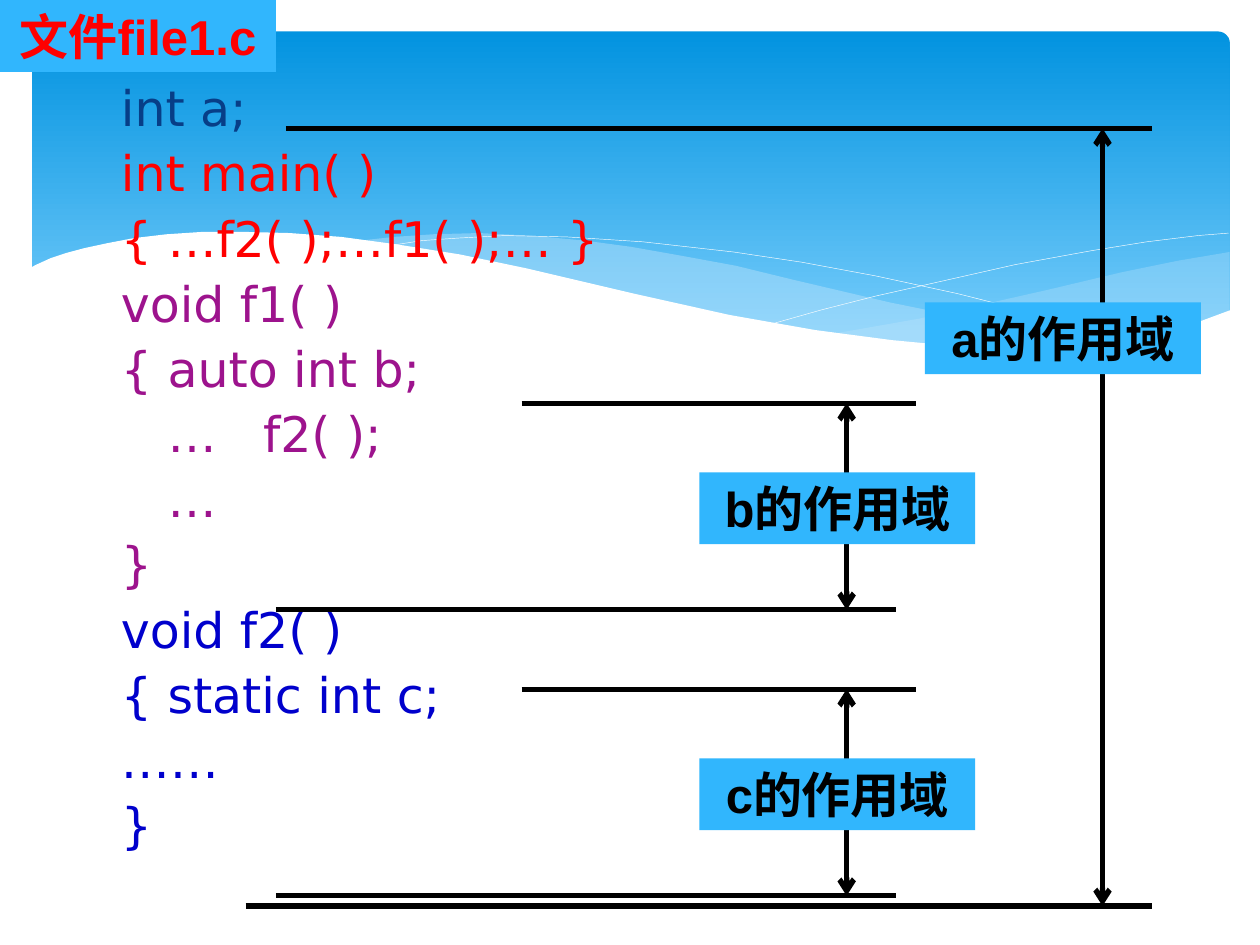
from lxml.etree import SubElement
from pptx import Presentation
from pptx.dml.color import RGBColor
from pptx.enum.shapes import MSO_CONNECTOR as Connector, MSO_SHAPE as Shape
from pptx.enum.text import MSO_ANCHOR as Anchor, MSO_AUTO_SIZE as AutoSize, PP_ALIGN as Align
from pptx.oxml.ns import qn
from pptx.util import Pt

LABEL_SIZE = (157.68, 41.04)
LABEL_FILL = "31B6FD"

RIGHT_WAVE = [
    (684.7, 126), (655.2, 131), (623.5, 137.5), (581, 147.6), (542.9, 156.2),
    (506.9, 164.2), (457.9, 172.8), (489.6, 177.1), (518.4, 180), (552.2, 181.4),
    (583.2, 181.4), (609.8, 179.3), (633.6, 175.7), (655.2, 170.6), (684.7, 159.8)]
MIDDLE_WAVE = [
    (625, 178.6), (584.6, 172.8), (540, 164.9), (490.3, 154.8), (434.9, 141.8),
    (402.5, 133.9), (371.5, 128.2), (342.7, 123.1), (316.1, 119.5), (284.4, 116.6),
    (255.6, 115.2), (229.7, 115.9), (207.4, 117.4), (187.9, 119.5), (228.2, 125.3),
    (272.9, 133.9), (305.3, 141.8), (363.6, 154.8), (414.7, 165.6), (460.8, 173.5),
    (501.8, 179.3), (538.6, 182.2), (578.2, 182.2), (606.2, 180.7)]
FALLING_CURVE = [
    (204.5, 122.4), (223.2, 119.5), (243.4, 118.1), (270.7, 116.6), (306, 117.4),
    (349.2, 120.2), (401, 126), (439.9, 131.8), (482.4, 139.7), (529.2, 149.8),
    (580.3, 162.7), (635, 177.8)]
RISING_CURVE = [
    (423.4, 167), (451.4, 159.1), (482.4, 151.2), (520.6, 142.6), (562.3, 133.2),
    (605.5, 125.3), (637.2, 120.2), (666.7, 116.6), (684, 115.2)]
WHITE_WAVE = [
    (685.4, 159.1), (666, 166.3), (644.4, 172.8), (620.6, 177.1), (594, 180),
    (564.5, 181.4), (529.9, 180), (491.8, 176.4), (447.8, 170.6), (398.9, 162),
    (344.2, 149.8), (283, 135.4), (244.8, 127.4), (208.8, 121.7), (177.1, 117.4),
    (147.6, 115.2), (121, 114.5), (97.9, 114.5), (77, 115.9), (58.3, 118.1),
    (43.2, 121), (30.2, 123.8), (19.4, 126.7), (10.8, 129.6), (2.9, 133.2),
    (-1.4, 135.4), (-1.4, 218.9), (685.4, 218.9)]

CODE = [
    ("073E87", ["int a;"]),
    ("FF0000", ["int main( )", "{ …f2( );…f1( );… }"]),
    ("9D138D", ["void f1( )", "{ auto int b;", "   …   f2( );", "   …", "}"]),
    ("0000CC", ["void f2( )", "{ static int c;", "……", "}"]),
]


def colour(value):
    return RGBColor.from_string(value)


def paint(shape, fill, opacity=100):
    shape.fill.solid()
    shape.fill.fore_color.rgb = colour(fill)
    if opacity < 100:
        tint = shape.fill._xPr.find(f"{qn('a:solidFill')}/{qn('a:srgbClr')}")
        SubElement(tint, qn("a:alpha")).set("val", str(opacity * 1000))


def place(shape, left, top, width, height):
    shape.left, shape.top = Pt(left), Pt(top)
    shape.width, shape.height = Pt(width), Pt(height)


def add_outline(page, left, top, points, close):
    corners = [(Pt(left + x), Pt(top + y)) for x, y in points]
    builder = page.shapes.build_freeform(*corners[0])
    builder.add_line_segments(corners[1:], close=close)
    shape = builder.convert_to_shape()
    shape.shadow.inherit = False
    return shape


def add_backdrop(page, left, top, width, height):
    panel = page.shapes.add_shape(
        Shape.ROUNDED_RECTANGLE, Pt(left), Pt(top), Pt(width), Pt(height))
    panel.adjustments[0] = 0.034
    panel.shadow.inherit = False
    panel.line.fill.background()
    panel.fill.gradient()
    panel.fill.gradient_angle = 270
    for stop, value in zip(panel.fill.gradient_stops, ("0293E0", "83D3FE")):
        stop.color.rgb = colour(value)

    def add_wave(points, fill, opacity=100):
        wave = add_outline(page, left, top, points, True)
        paint(wave, fill, opacity)
        wave.line.fill.background()

    add_wave(RIGHT_WAVE, "C6E7FC", 29)
    add_wave(MIDDLE_WAVE, "C6E7FC", 40)
    for points in (FALLING_CURVE, RISING_CURVE):
        curve = add_outline(page, left, top, points, False)
        curve.fill.background()
        curve.line.color.rgb = colour("FFFFFF")
        curve.line.width = Pt(0.25)
    add_wave(WHITE_WAVE, "FFFFFF")


def write_label(shape, text, ink):
    paint(shape, LABEL_FILL)
    frame = shape.text_frame
    frame.word_wrap = True
    frame.auto_size = AutoSize.NONE
    frame.vertical_anchor = Anchor.TOP
    para = frame.paragraphs[0]
    para.alignment = Align.CENTER
    span = para.add_run()
    span.text = text
    span.font.name, span.font.size, span.font.bold = "Arial", Pt(28), True
    span.font.color.rgb = colour(ink)


def add_file_title(page, left, top):
    title = page.shapes.title
    place(title, left, top, *LABEL_SIZE)
    write_label(title, "文件file1.c", "FF0000")
    page.shapes._spTree.append(title._element)


def add_code(page, left, top, width, height):
    body = page.placeholders[1]
    place(body, left, top, width, height)
    page.shapes._spTree.append(body._element)
    frame = body.text_frame
    frame.word_wrap = True
    frame.auto_size = AutoSize.NONE
    lines = [(ink, text) for ink, texts in CODE for text in texts]
    for index, (ink, text) in enumerate(lines):
        para = frame.add_paragraph() if index else frame.paragraphs[0]
        properties = para._p.get_or_add_pPr()
        properties.set("marL", "0")
        properties.set("indent", "0")
        SubElement(properties, qn("a:buNone"))
        para.line_spacing = 0.9
        para.space_before = Pt(7 if index else 0)
        span = para.add_run()
        span.text = text
        span.font.name, span.font.size = "DejaVu Sans", Pt(28)
        span.font.color.rgb = colour(ink)


def add_line(page, start, end, arrows=False):
    line = page.shapes.add_connector(
        Connector.STRAIGHT, Pt(start[0]), Pt(start[1]), Pt(end[0]), Pt(end[1]))
    line.line.color.rgb = colour("000000")
    line.line.width = Pt(3)
    if arrows:
        for tag in ("a:headEnd", "a:tailEnd"):
            SubElement(line.line._get_or_add_ln(), qn(tag)).set("type", "arrow")
    SubElement(line._element.spPr, qn("a:effectLst"))


def add_scope(page, left, top, width, height, name, top_bar, bottom_bar, arrow, label):
    bottom = top + height
    add_line(page, (left + arrow, top), (left + arrow, bottom), arrows=True)
    tag = page.shapes.add_shape(Shape.RECTANGLE, 0, 0, 0, 0)
    place(tag, left + label[0], top + label[1], *LABEL_SIZE)
    tag.shadow.inherit = False
    tag.line.fill.background()
    write_label(tag, f"{name}的作用域", "000000")
    for (start, end), y in ((top_bar, top), (bottom_bar, bottom)):
        add_line(page, (left + start, y), (left + end, y))


def main():
    deck = Presentation()
    deck.slide_width, deck.slide_height = Pt(720), Pt(540)
    page = deck.slides.add_slide(deck.slide_layouts[1])
    add_backdrop(page, 18, 18, 684.7, 194.4)
    add_code(page, 61.9, 44.6, 365.8, 483.8)
    add_scope(page, 140.4, 73.4, 517.7, 444.3, "a",
              (23, 517.7), (0, 517.7), 489.6, (388.1, 99.4))
    for name, top in (("b", 230.4), ("c", 393.8)):
        add_scope(page, 157.7, top, 365.7, 118.1, name,
                  (140.4, 365.7), (0, 354.2), 326.1, (241.9, 39.6))
    add_file_title(page, 0, 0)
    deck.save("out.pptx")


if __name__ == "__main__":
    main()
